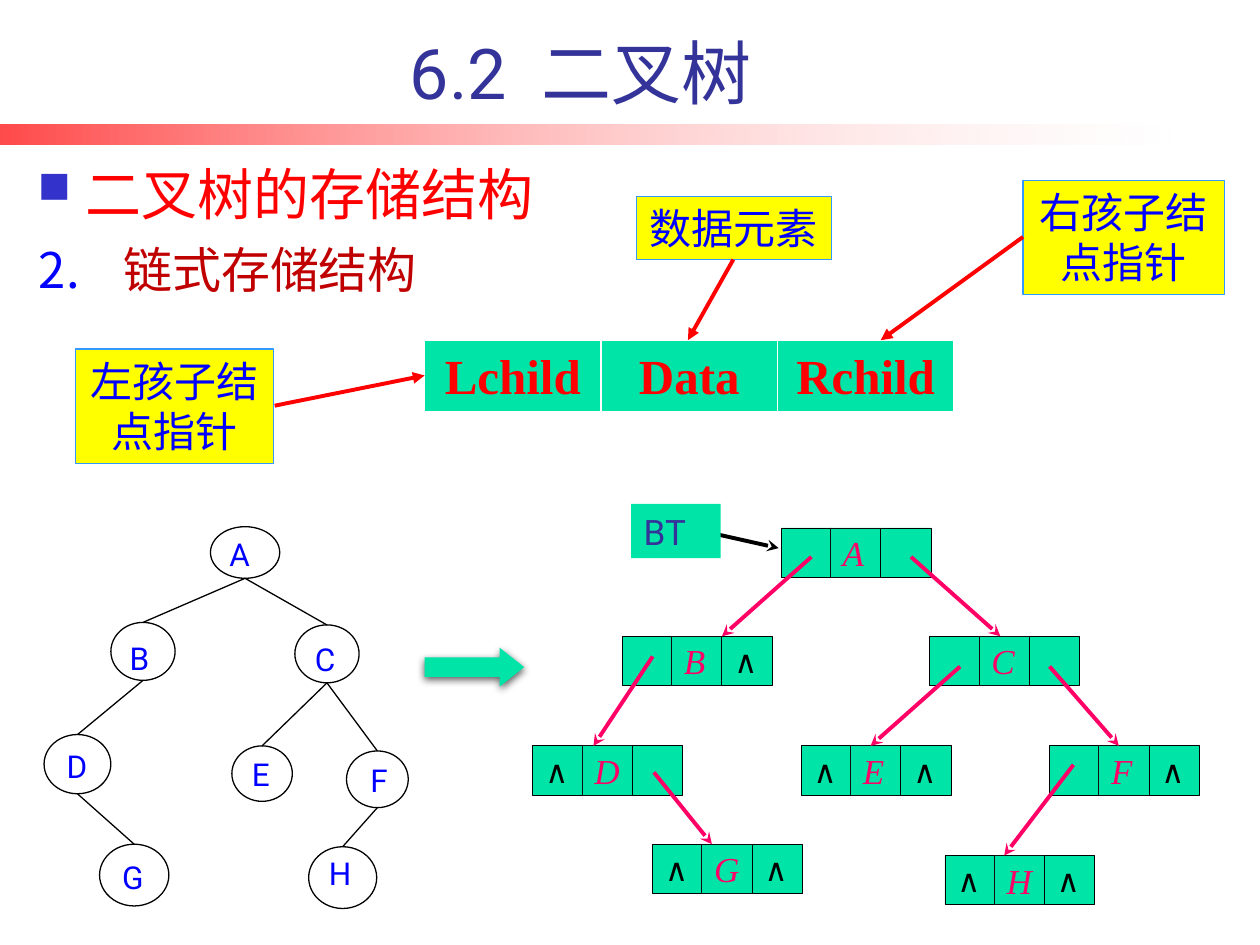
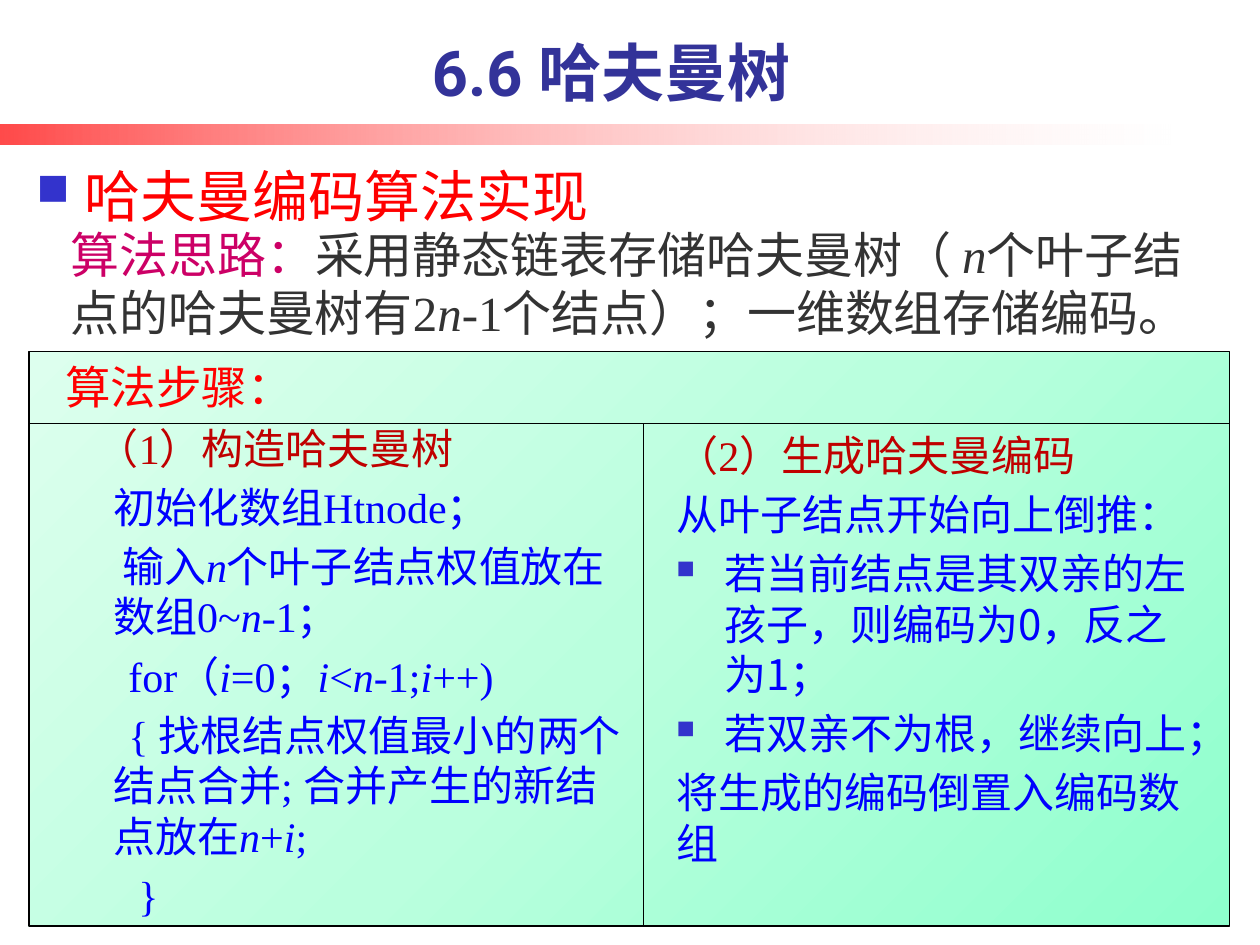
from pptx import Presentation
from pptx.dml.color import RGBColor
from pptx.enum.shapes import MSO_CONNECTOR, MSO_SHAPE
from pptx.enum.text import MSO_ANCHOR, MSO_AUTO_SIZE, PP_ALIGN
from pptx.oxml import parse_xml
from pptx.oxml.ns import nsdecls
from pptx.util import Emu, Pt

PX = 9144
CJK, LATIN, SERIF = "Noto Sans CJK SC", "Roboto", "Times New Roman"
RED, DARK_RED, BLUE, NAVY = "FF0000", "C00000", "0000FF", "333399"
BULLET_BLUE, PINK, GREEN, BLACK = "3333CC", "FF0066", "00E4A8", "000000"
YELLOW, SKY, GREY, MAGENTA, NEAR_BLACK = "FFFF00", "3399FF", "333333", "CC0066", "0D0D0D"
HEADING = dict(size=32, color=RED, leading=1.38, left=38, first=-38, bullet=80)
CELL_HEIGHT = 39


def px(*lengths):
    """Turn px lengths into EMU."""
    return [Emu(round(length * PX)) for length in lengths]


def rgb(value):
    """Turn a hex string into a colour."""
    return RGBColor.from_string(value)


def element(tag, inner="", **attributes):
    """Build one drawing element."""
    listed = " ".join(f'{name}="{value}"' for name, value in attributes.items())
    return parse_xml(f'<a:{tag} {nsdecls("a")} {listed}>{inner}</a:{tag}>')


def apply(target, values):
    """Set every attribute given in a dict."""
    for name, value in values.items():
        setattr(target, name, value)


def add_bullet(para, bullet):
    """Give a paragraph a square of some percent, or a number from a start."""
    kind, value = bullet if isinstance(bullet, tuple) else ("square", bullet)
    properties = para._p.get_or_add_pPr()
    color = BLUE if kind == "number" else BULLET_BLUE
    properties.append(element("buClr", f'<a:srgbClr val="{color}"/>'))
    if kind == "number":
        properties.append(element("buAutoNum", type="arabicPeriod", startAt=value))
    else:
        properties.append(element("buSzPct", val=value * 1000))
        properties.append(element("buChar", char="■"))


def add_span(para, text, style):
    """Add one run in a given style."""
    span = para.add_run()
    span.text = text
    apply(span.font, dict(name=style["font"], size=Pt(style["size"]),
                          bold=style["bold"], italic=style["italic"]))
    span.font.color.rgb = rgb(style["color"])
    properties = span._r.get_or_add_rPr()
    properties.append(element("ea", typeface=CJK))
    if style["tracking"]:
        properties.set("spc", str(style["tracking"] * 100))


def write(frame, paras, **base):
    """Fill a frame; each para is (text or spans, overrides), with *italic* marks."""
    defaults = dict(font=CJK, size=24, color=BLUE, bold=False, italic=False,
                    tracking=0, align=PP_ALIGN.LEFT, left=0, first=0, before=0,
                    bullet=None, leading=1.2)
    for index, (spans, overrides) in enumerate(paras):
        style = {**defaults, **base, **overrides}
        para = frame.paragraphs[0] if index == 0 else frame.add_paragraph()
        properties = para._p.get_or_add_pPr()
        for name, length in zip(("marL", "indent"), px(style["left"], style["first"])):
            properties.set(name, str(length))
        if style["bullet"]:
            add_bullet(para, style["bullet"])
        apply(para, dict(alignment=style["align"],
                         line_spacing=Pt(round(style["size"] * style["leading"], 1)),
                         space_before=Pt(style["before"] if index else 0)))
        for text, changes in [(spans, {})] if isinstance(spans, str) else spans:
            for order, part in enumerate(text.split("*")):
                if part:
                    add_span(para, part, {**style, **changes, "italic": style["italic"] or order % 2 == 1})


def add_text(page, box, paras, anchor=MSO_ANCHOR.TOP, inset=None, **base):
    """Place a wrapped text box."""
    frame = page.shapes.add_textbox(*px(*box)).text_frame
    apply(frame, dict(word_wrap=True, vertical_anchor=anchor))
    if inset is not None:
        sides = ("left", "top", "right", "bottom")
        apply(frame, {f"margin_{side}": inset for side in sides})
    write(frame, paras, **base)


def add_block(page, box, kind=MSO_SHAPE.RECTANGLE, fill=None, line=None, width=0.75):
    """Place a preset shape with a plain fill and line."""
    shape = page.shapes.add_shape(kind, *px(*box))
    shape.shadow.inherit = False
    if fill:
        shape.fill.solid()
        shape.fill.fore_color.rgb = rgb(fill)
    else:
        shape.fill.background()
    if line:
        shape.line.color.rgb = rgb(line)
        shape.line.width = Pt(width)
    else:
        shape.line.fill.background()
    return shape


def add_gradient(shape, stops, angle):
    """Replace a fill by stops of (percent, colour, opacity)."""
    properties = shape._element.spPr
    inner = "".join(
        f'<a:gs pos="{spot * 1000}"><a:srgbClr val="{color}">'
        f'<a:alpha val="{opacity * 1000}"/></a:srgbClr></a:gs>'
        for spot, color, opacity in stops)
    properties.remove(properties[2])
    properties.insert(2, element(
        "gradFill", f'<a:gsLst>{inner}</a:gsLst><a:lin ang="{angle * 60000}" scaled="0"/>'))


def add_line(page, start, end, color=BLACK, width=0.75, arrow=None):
    """Draw a straight line, with an arrowhead at its end if named."""
    line = page.shapes.add_connector(MSO_CONNECTOR.STRAIGHT, *px(*start, *end))
    line.line.color.rgb = rgb(color)
    line.line.width = Pt(width)
    if arrow:
        line.line._get_or_add_ln().append(element("tailEnd", type=arrow))
    line._element.spPr.append(element("effectLst"))


def start_page(deck, box, spans, **style):
    """Add a page with the red band and its title."""
    page = deck.slides.add_slide(deck.slide_layouts[5])
    add_gradient(add_block(page, (0, 99, 929, 16), fill=RED),
                 [(0, RED, 71), (100, "FFFFFF", 18)], 0)
    title = page.shapes.title
    apply(title, dict(zip(("left", "top", "width", "height"), px(*box))))
    apply(title.text_frame, dict(word_wrap=True, auto_size=MSO_AUTO_SIZE.NONE,
                                 vertical_anchor=MSO_ANCHOR.BOTTOM))
    write(title.text_frame, [(spans, {})], font=LATIN, color=NAVY,
          align=PP_ALIGN.CENTER, **style)
    return page


def draw_record(page, box):
    """Draw the three-field record and its callouts."""
    left, top, width, height = box
    table = page.shapes.add_table(1, 3, *px(*box)).table
    for cell, name in zip(table.rows[0].cells, ("Lchild", "Data", "Rchild")):
        cell.fill.solid()
        cell.fill.fore_color.rgb = rgb(GREEN)
        cell.vertical_anchor = MSO_ANCHOR.MIDDLE
        write(cell.text_frame, [(name, {})], font=SERIF, size=28, color=RED,
              bold=True, align=PP_ALIGN.CENTER)
    callouts = [
        ("左孩子结点指针", (-277, 7, 157, 91), (-119, 52), (0, 28)),
        ("右孩子结点指针", (475, -127, 160, 91), (475, -82), (362, 0)),
        ("数据元素", (168, -114, 155, 50), (245, -64), (209, 0)),
    ]
    for text, (x, y, wide, high), start, end in callouts:
        note = add_block(page, (left + x, top + y, wide, high), fill=YELLOW, line=SKY)
        note.text_frame.word_wrap = True
        note.text_frame.vertical_anchor = MSO_ANCHOR.TOP
        write(note.text_frame, [(text, {})], align=PP_ALIGN.CENTER)
        add_line(page, (left + start[0], top + start[1]),
                 (left + end[0], top + end[1]), RED, 2.25, "triangle")


def draw_tree(page, left, top):
    """Draw the binary tree with labelled ellipses."""
    nodes = {
        "A": ((132, 0, 55, 41), (147, 7)), "B": ((53, 76, 51, 46), (68, 89)),
        "C": ((199, 78, 51, 46), (215, 90)), "D": ((0, 165, 53, 47), (18, 175)),
        "E": ((149, 174, 48, 44), (165, 181)), "F": ((240, 178, 49, 45), (259, 186)),
        "G": ((44, 252, 55, 49), (62, 263)), "H": ((210, 254, 54, 49), (226, 260)),
    }
    for parent, child in ("AB", "AC", "BD", "CE", "CF", "DG", "FH"):
        x, y, width, height = nodes[parent][0]
        child_x, child_y, child_width, _ = nodes[child][0]
        add_line(page, (left + x + width / 2, top + y + height),
                 (left + child_x + child_width / 2, top + child_y))
    for name, ((x, y, width, height), (label_x, label_y)) in nodes.items():
        add_block(page, (left + x, top + y, width, height), MSO_SHAPE.OVAL, line=BLACK)
        add_text(page, (left + label_x, top + label_y, 30, 36), [(name, {})],
                 inset=0, font=LATIN, size=18)


def draw_linked_node(page, left, top, fields):
    """Draw a node of three cells, ∧ marking an empty pointer."""
    for index, text in enumerate(fields):
        middle = index == 1
        cell = add_block(page, (left + index * 79 // 2, top, 40, CELL_HEIGHT),
                         fill=GREEN, line=NEAR_BLACK if middle else BLACK, width=0.5)
        apply(cell.text_frame, dict(word_wrap=False, vertical_anchor=MSO_ANCHOR.MIDDLE))
        style = dict(font=SERIF, size=20, color=PINK, italic=True) if middle else dict(
            font=LATIN, size=18, color=BLACK)
        if text.strip():
            write(cell.text_frame, [(text, {})], **style)


def draw_linked_tree(page, left, top):
    """Draw the linked nodes, their pointers and the root pointer."""
    nodes = [(197, 19, " A "), (71, 105, " B∧"), (315, 105, " C "), (0, 192, "∧D "),
             (213, 192, "∧E∧"), (410, 192, " F∧"), (95, 270, "∧G∧"), (327, 279, "∧H∧")]
    for x, y, fields in nodes:
        draw_linked_node(page, left + x, top + y, fields)
    pointers = [(221, 42, 150, 105), (95, 121, 48, 192), (300, 42, 371, 105),
                (96, 213, 142, 270), (339, 129, 268, 192), (410, 129, 465, 192),
                (429, 207, 374, 279)]
    for x, y, end_x, end_y in pointers:
        add_line(page, (left + x, top + y), (left + end_x, top + end_y),
                 PINK, 2.25, "stealth")
    add_line(page, (left + 119, top + 18), (left + 195, top + 35), BLACK, 2.25, "stealth")
    root = add_block(page, (left + 78, top, 71, 43), fill=GREEN)
    root.text_frame.vertical_anchor = MSO_ANCHOR.TOP
    write(root.text_frame, [("BT", {})], font=LATIN, size=20, color=NAVY)


def draw_turning_arrow(page, box):
    """Draw the shaded arrow between the two trees."""
    arrow = add_block(page, box, MSO_SHAPE.RIGHT_ARROW, GREEN)
    arrow.adjustments[1] = 0.63
    arrow._element.spPr.find(element("effectLst").tag).append(element(
        "outerShdw", '<a:srgbClr val="000000"><a:alpha val="63000"/></a:srgbClr>',
        blurRad=Pt(4.5), dist=Pt(1.5), dir=5400000, rotWithShape=0))


def build_storage_page(deck):
    """Build the page on linked storage of binary trees."""
    page = start_page(deck, (272, 24, 378, 71),
                      [("6.2", {}), (" ", dict(tracking=10)), ("二叉树", {})], size=40)
    add_text(page, (20, 117, 852, 68), [("二叉树的存储结构", HEADING)], MSO_ANCHOR.BOTTOM)
    add_text(page, (21, 185, 339, 69), [("链式存储结构", {})], size=28,
             color=DARK_RED, left=67, first=-67, bullet=("number", 2))
    draw_record(page, (337, 270, 420, 57))
    draw_tree(page, 35, 418)
    draw_turning_arrow(page, (337, 514, 79, 31))
    draw_linked_tree(page, 423, 400)


def draw_steps(page, box):
    """Draw the panel of algorithm steps in two columns."""
    left, top, width, height = box
    panel = add_block(page, box, fill=GREEN, line=BLACK)
    add_gradient(panel, [(0, "8EFFCD", 100), (50, "BAFFDE", 100), (100, "DDFFEE", 100)], 225)
    add_text(page, (left + 19, top + 1, 469, height), [
        ("算法步骤：", dict(size=26, color=RED, first=-38)),
        ("（1）构造哈夫曼树", dict(color=DARK_RED, first=-13)),
        ("初始化数组Htnode；", {}),
        ("输入*n*个叶子结点权值放在数组0~*n*-1；", dict(first=7)),
        ("for（*i*=0；*i*<*n*-1;*i*++)", dict(first=12)),
        ("{ 找根结点权值最小的两个结点合并; 合并产生的新结点放在*n*+*i*;", dict(first=12)),
        ("}", dict(first=20)),
    ], font=SERIF, left=38, before=5)
    item = dict(left=38, first=-38, bullet=60)
    add_text(page, (left + 504, top + 57, 434, 343), [
        ("（2）生成哈夫曼编码", dict(font=SERIF, color=DARK_RED)),
        ("从叶子结点开始向上倒推：", {}),
        ("若当前结点是其双亲的左孩子，则编码为0，反之为1；", item),
        ("若双亲不为根，继续向上；", item),
        ("将生成的编码倒置入编码数组", {}),
    ], before=5)
    add_line(page, (left + 488, top + 57), (left + 488, top + height))
    add_line(page, (left, top + 57), (left + width, top + 57))


def build_huffman_page(deck):
    """Build the page on Huffman coding."""
    page = start_page(deck, (59, 21, 852, 71), "6.6 哈夫曼树", size=36, bold=True)
    add_text(page, (19, 115, 583, 63), [("哈夫曼编码算法实现", HEADING)])
    add_text(page, (46, 173, 929, 104), [([
        ("算法思路：", dict(color=MAGENTA)),
        ("采用静态链表存储哈夫曼树（ *n*个叶子结点的哈夫曼树有2*n*-1个结点）；一维数组存储编码。", {}),
    ], {})], font=SERIF, size=28, color=GREY)
    draw_steps(page, (23, 279, 953, 456))


def main():
    """Build and save the deck."""
    deck = Presentation()
    deck.slide_width, deck.slide_height = px(1000, 750)
    build_storage_page(deck)
    build_huffman_page(deck)
    deck.save("out.pptx")


if __name__ == "__main__":
    main()
